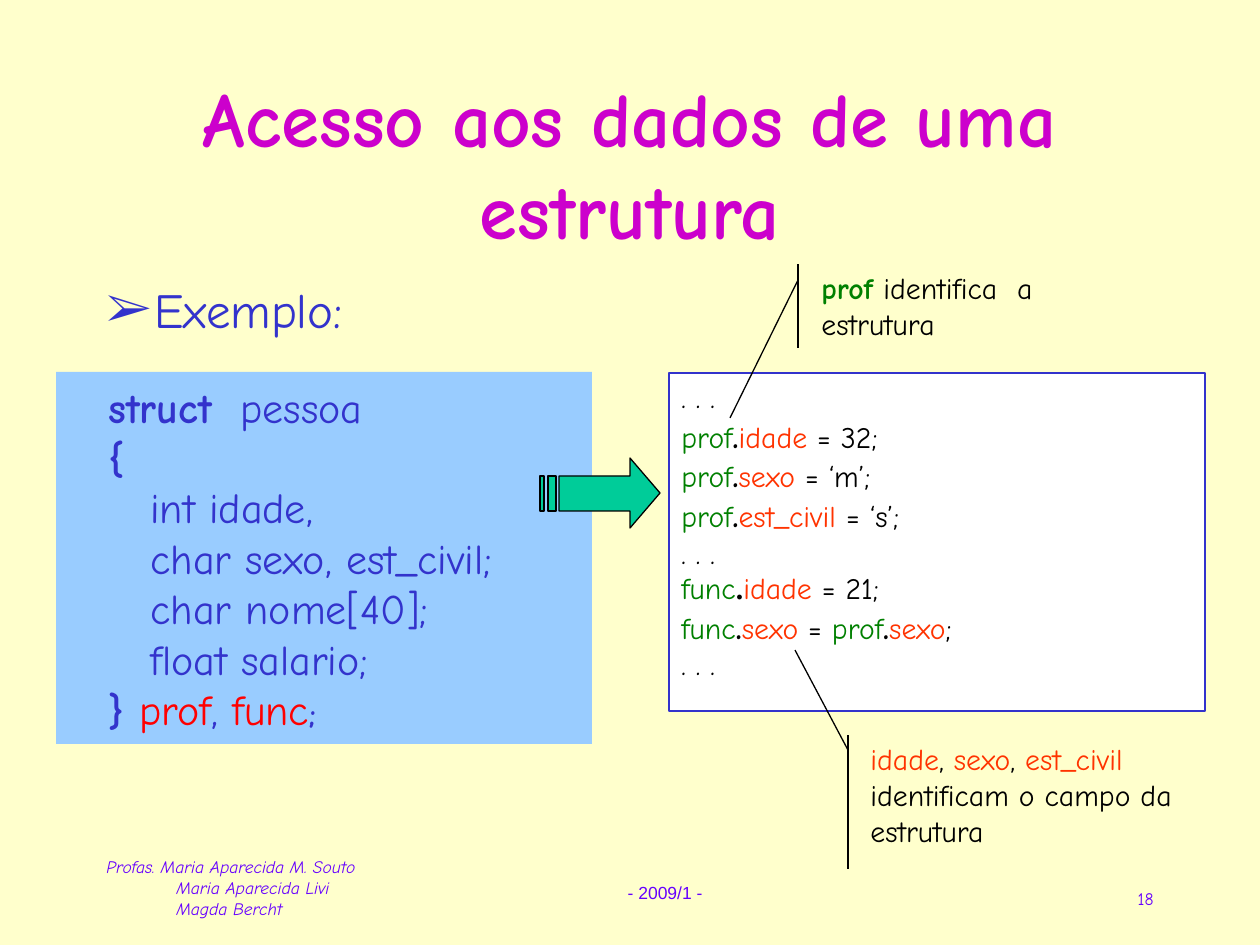
from lxml import etree
from pptx import Presentation
from pptx import util as u
from pptx.dml.color import RGBColor
from pptx.enum import shapes, text
from pptx.oxml.ns import qn

EMU_PER_PX = 914400 / 126
BLUE, PURPLE, GREEN, ORANGE = "3333CC", "6600FF", "008000", "FF3300"
BLACK, RED, MAGENTA = "000000", "FF0000", "CC00CC"


def px(*lengths):
    return [u.Emu(round(length * EMU_PER_PX)) for length in lengths]


def write(shape, lines, size, font="Comic Neue"):
    """Fill a shape with lines of (text, colour, bold, size) spans."""
    frame = shape.text_frame
    frame.word_wrap = True
    frame.vertical_anchor = text.MSO_ANCHOR.TOP
    frame.text = "\n".join([""] * len(lines))
    for para, spans in zip(frame.paragraphs, lines):
        para.alignment = text.PP_ALIGN.LEFT
        for words, color, *style in spans:
            span = para.add_run()
            span.text = words
            span.font.name = font
            span.font.color.rgb = RGBColor.from_string(color)
            span.font.bold = bool(style and style[0])
            span.font.size = u.Pt(style[1] if len(style) > 1 else size)
    return frame.paragraphs


deck = Presentation()
deck.slide_width, deck.slide_height = px(1260, 945)
page = deck.slides.add_slide(deck.slide_layouts[5])
page.background.fill.solid()
page.background.fill.fore_color.rgb = RGBColor.from_string("FFFFCC")
items = page.shapes

# Title
title = items.title
title.left, title.top, title.width, title.height = px(94, 84, 1072, 158)
heading = write(title, [[("Acesso aos dados de uma estrutura", MAGENTA, True)]], 44)[0]
heading.alignment = text.PP_ALIGN.CENTER
title.text_frame.vertical_anchor = text.MSO_ANCHOR.MIDDLE

# Footer: authors, term, page number
authors = ["Profas. Maria Aparecida M. Souto", "Maria Aparecida Livi", "Magda Bercht"]
box = items.add_textbox(*px(94, 850, 330, 76))
for index, para in enumerate(write(box, [[(name, PURPLE)] for name in authors], 10)):
    para.runs[0].font.italic = True
    if index:
        para._p.get_or_add_pPr().set("marL", str(px(70)[0]))
term = items.add_textbox(*px(605, 876, 120, 34))
write(term, [[("- 2009/1 -", PURPLE)]], 10, "Arial")[0].alignment = text.PP_ALIGN.CENTER
number = items.add_textbox(*px(904, 882, 262, 42))
write(number, [[("18", PURPLE)]], 10)[0].alignment = text.PP_ALIGN.RIGHT

# Bulleted lead-in
example = items.add_textbox(*px(94, 273, 500, 70))
properties = write(example, [[("Exemplo:", BLUE)]], 28)[0]._p.get_or_add_pPr()
indent = px(48)[0]
properties.set("marL", str(indent))
properties.set("indent", str(-indent))
bullet_color = etree.SubElement(properties, qn("a:buClr"))
etree.SubElement(bullet_color, qn("a:srgbClr")).set("val", BLUE)
etree.SubElement(properties, qn("a:buFont")).set("typeface", "Times New Roman")
etree.SubElement(properties, qn("a:buChar")).set("char", "➢")

# Panels and striped arrow
struct_panel = items.add_shape(shapes.MSO_SHAPE.RECTANGLE, *px(56, 372, 536, 372))
access_panel = items.add_shape(shapes.MSO_SHAPE.RECTANGLE, *px(669, 373, 536, 338))
outline = items.build_freeform(630, 458, scale=EMU_PER_PX)
outline.add_line_segments([(630, 476), (559, 476), (559, 511), (630, 511),
                           (630, 528), (660, 493)])
for left, right in [(548, 556), (540, 544)]:
    outline.move_to(left, 476)
    outline.add_line_segments([(left, 511), (right, 511), (right, 476)])
arrow = outline.convert_to_shape()
for shape, fill, line in [(struct_panel, "99CCFF", None), (access_panel, "FFFFFF", BLUE),
                          (arrow, "00CC99", BLACK)]:
    shape.shadow.inherit = False
    shape.fill.solid()
    shape.fill.fore_color.rgb = RGBColor.from_string(fill)
    if line:
        shape.line.color.rgb = RGBColor.from_string(line)
        shape.line.width = u.Pt(0.75)
    else:
        shape.line.fill.background()

# Declaration of the structure
members = ["int idade,", "char sexo, est_civil;", "char nome[40];", "float salario;"]
declaration = items.add_textbox(*px(96, 375, 490, 366))
write(declaration, [
    [("struct", BLUE, True), ("  pessoa", BLUE)],
    [("{", BLUE, True)],
    *[[("   " + member, BLUE)] for member in members],
    [("} ", BLUE, True), ("prof", RED), (", ", BLUE), ("func", RED), (";", BLUE, True, 18)],
], 24)

# Access to the fields
dot, dots = (".", BLACK, True, 19), [(". . .", BLACK)]
prof, func, sexo = ("prof", GREEN), ("func", GREEN), ("sexo", ORANGE)
access = write(access_panel, [
    dots,
    [prof, dot, ("idade", ORANGE), (" = 32;", BLACK)],
    [prof, dot, sexo, (" = ‘m’;", BLACK)],
    [prof, dot, ("est_civil", ORANGE), (" = ‘s’;", BLACK)],
    dots,
    [func, (".", BLACK, True), ("idade ", ORANGE), ("= 21;", BLACK)],
    [func, dot, sexo, (" = ", BLACK), prof, dot, sexo, (";", BLACK)],
    dots,
], 17)
access[5].runs[1].font.name = "Times New Roman"

# Callouts with an accent bar and a pointer
comma = (", ", BLACK)
for (left, top, width, height), spans, start, target in [
    ((809, 264, 357, 84),
     [("prof", GREEN, True), (" identifica  a estrutura", BLACK)],
     (798, 280), (730, 418)),
    ((858, 735, 328, 134),
     [("idade", ORANGE), comma, sexo, comma, ("est_civil", ORANGE),
      (" identificam o campo da estrutura", BLACK)],
     (848, 750), (795, 650)),
]:
    callout = items.add_shape(shapes.MSO_SHAPE.LINE_CALLOUT_1_ACCENT_BAR,
                              *px(left, top, width, height))
    callout.shadow.inherit = False
    callout.fill.background()
    callout.line.color.rgb = RGBColor.from_string(BLACK)
    callout.line.width = u.Pt(0.75)
    for index, (x, y) in enumerate([start, target]):
        callout.adjustments[2 * index] = (y - top) / height
        callout.adjustments[2 * index + 1] = (x - left) / width
    write(callout, [spans], 17)

deck.save("out.pptx")
